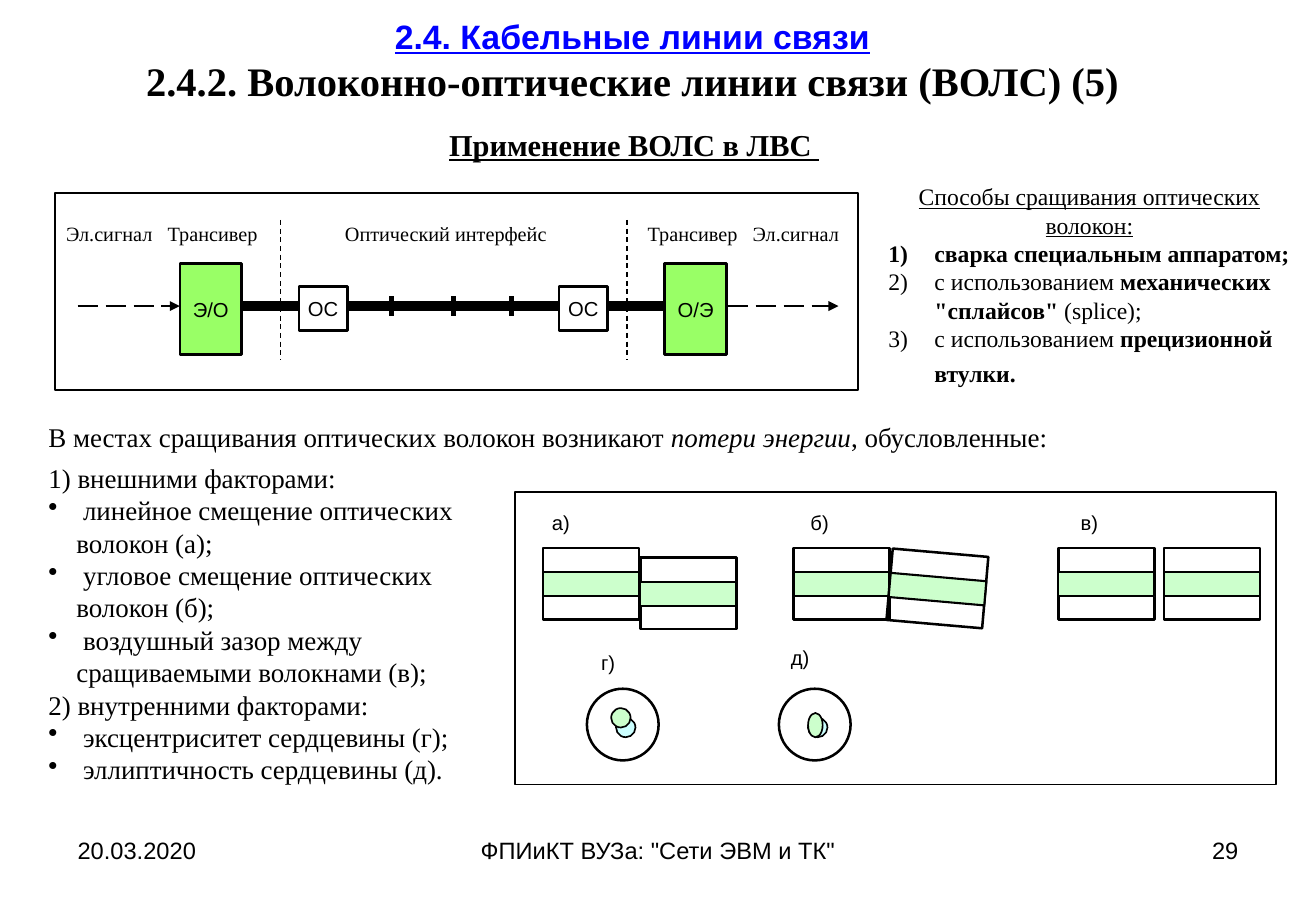
from pptx import Presentation
from pptx.dml.color import RGBColor
from pptx.enum.dml import MSO_LINE
from pptx.enum.shapes import MSO_CONNECTOR, MSO_SHAPE
from pptx.enum.text import MSO_ANCHOR, PP_ALIGN
from pptx.oxml.ns import qn
from pptx.util import Pt
from lxml import etree

PX = 9144
RECT, OVAL = MSO_SHAPE.RECTANGLE, MSO_SHAPE.OVAL
LEFT, CENTER, RIGHT = PP_ALIGN.LEFT, PP_ALIGN.CENTER, PP_ALIGN.RIGHT
TOP, MIDDLE = MSO_ANCHOR.TOP, MSO_ANCHOR.MIDDLE
DASH, LONG_DASH = MSO_LINE.DASH, MSO_LINE.LONG_DASH
SANS, SERIF = "Arial", "Times New Roman"
BLACK, WHITE, BLUE = "000000", "FFFFFF", "0000FF"
GREEN, CORE, SHIFTED_CORE = "99FF66", "CCFFCC", "CCFFFF"


def color(value):
    """Turn a hex string into a colour."""
    return RGBColor.from_string(value)


def px(*lengths):
    """Turn lengths in px into EMU."""
    return [length * PX for length in lengths]


def add_para(frame, content, first=False, size=12, font=SERIF, align=LEFT,
             bullet=None, indent=0, **style):
    """Add a paragraph made of a string or of (text, format) spans."""
    para = frame.paragraphs[0] if first else frame.add_paragraph()
    para.alignment = align
    if bullet:
        properties = para._p.get_or_add_pPr()
        properties.set("marL", str(indent * PX))
        properties.set("indent", str(-indent * PX))
        tag, name = ("buChar", "char") if bullet == "•" else ("buAutoNum", "type")
        etree.SubElement(properties, qn("a:" + tag)).set(name, bullet)
    spans = [(content, {})] if isinstance(content, str) else content
    for text, changes in spans:
        look = {"size": size, "font": font, "color": BLACK, **style, **changes}
        span = para.add_run()
        span.text = text
        span.font.size = Pt(look["size"])
        span.font.name = look["font"]
        span.font.color.rgb = color(look["color"])
        span.font.bold = look.get("bold", False)
        span.font.italic = look.get("italic", False)
        span.font.underline = look.get("underline", False)


def set_frame(frame, anchor=TOP, insets=(10, 5)):
    """Set wrapping, anchor and insets of a text frame."""
    frame.word_wrap = True
    frame.vertical_anchor = anchor
    frame.margin_left = frame.margin_right = insets[0] * PX
    frame.margin_top = frame.margin_bottom = insets[1] * PX


def add_text(page, box, paras, anchor=TOP, insets=(10, 5), **style):
    """Add a text box with (content, format) paragraphs."""
    frame = page.shapes.add_textbox(*px(*box)).text_frame
    set_frame(frame, anchor, insets)
    paras = [(paras, {})] if isinstance(paras, str) else paras
    for index, (content, changes) in enumerate(paras):
        add_para(frame, content, first=index == 0, **{**style, **changes})


def add_block(page, kind, box, fill=None, width=1.5, angle=0, text=None):
    """Add an outlined shape with optional fill and centred text."""
    shape = page.shapes.add_shape(kind, *px(*box))
    shape.shadow.inherit = False
    shape.rotation = angle
    if fill:
        shape.fill.solid()
        shape.fill.fore_color.rgb = color(fill)
    else:
        shape.fill.background()
    shape.line.color.rgb = color(BLACK)
    shape.line.width = Pt(width)
    if text:
        set_frame(shape.text_frame, MIDDLE, (2, 5))
        add_para(shape.text_frame, text, first=True, font=SANS, align=CENTER)


def add_line(page, start, end, width, dash=None, arrow=False):
    """Add a straight black line."""
    line = page.shapes.add_connector(MSO_CONNECTOR.STRAIGHT, *px(*start, *end))
    line.line.color.rgb = color(BLACK)
    line.line.width = Pt(width)
    if dash:
        line.line.dash_style = dash
    properties = line._element.spPr
    if arrow:
        outline = properties.get_or_add_ln()
        etree.SubElement(outline, qn("a:tailEnd")).set("type", "triangle")
    etree.SubElement(properties, qn("a:effectLst"))


def draw_headings(page, box):
    """Draw the title and the subtitle."""
    left, top, width, height = box
    add_text(page, box, [
        ("2.4. Кабельные линии связи",
         {"size": 20, "font": SANS, "color": BLUE, "underline": True}),
        ("2.4.2. Волоконно-оптические линии связи (ВОЛС) (5)", {"size": 24}),
    ], anchor=MIDDLE, align=CENTER, bold=True)
    add_text(page, (left + 286, top + height, 364, 40),
             [([("Применение ВОЛС в ЛВС", {"bold": True}), (" ", {})], {})],
             size=18, align=CENTER, underline=True)


def draw_link(page, box):
    """Draw the fibre link between two transceivers."""
    left, top, width, height = box
    axis = top + 93
    for start, end in ((19, 103), (554, 645)):
        add_line(page, (left + start, axis), (left + end, axis), 1.5, LONG_DASH, True)
    for start, end in ((154, 202), (241, 415), (455, 502)):
        add_line(page, (left + start, axis), (left + end, axis), 6)
    for tick in (277, 328, 376):
        add_line(page, (left + tick, axis - 8), (left + tick, axis + 8), 3)
    for border in (186, 471):
        add_line(page, (left + border, top + 22), (left + border, top + 137), 0.75, DASH)
    for offset, name in ((103, "Э/О"), (502, "О/Э")):
        add_block(page, RECT, (left + offset, top + 58, 51, 75), GREEN, text=name)
    for offset in (201, 415):
        add_block(page, RECT, (left + offset, top + 77, 40, 36), WHITE, text="ОС")
    labels = ((45, "Эл.сигнал"), (130, "Трансивер"), (322, "Оптический интерфейс"),
              (525, "Трансивер"), (610, "Эл.сигнал"))
    for middle, name in labels:
        add_text(page, (left + middle - 90, top + 22, 180, 24), name,
                 insets=(2, 1), align=CENTER)
    add_block(page, RECT, box, width=1)


def draw_splicing(page, box):
    """Draw the numbered list of splicing methods."""
    bold = {"bold": True}
    numbered = {"bullet": "arabicParenR", "indent": 38}
    add_text(page, box, [
        ("Способы сращивания оптических волокон:", {"align": CENTER, "underline": True}),
        ("сварка специальным аппаратом;", {**numbered, **bold}),
        ([("с использованием ", {}), ("механических \"сплайсов\"", bold),
          (" (splice);", {})], numbered),
        ([("с использованием ", {}), ("прецизионной втулки.", bold),
          (" ", {"size": 18, "font": SANS})], numbered),
    ], insets=(2, 1), size=14)


def draw_losses(page, box):
    """Draw the lead sentence and the list of loss factors."""
    left, top, width, height = box
    add_text(page, (left, top, 861, 37), [([
        ("В местах сращивания оптических волокон возникают ", {}),
        ("потери энергии", {"italic": True}), (", обусловленные:", {})], {})], size=16)
    item = {"bullet": "•", "indent": 23}
    add_text(page, (left, top + 34, width, height - 34), [
        ("1) внешними факторами:", {}),
        (" линейное смещение оптических волокон (а);", item),
        (" угловое смещение оптических волокон (б);", item),
        (" воздушный зазор между сращиваемыми волокнами (в);", item),
        ("2) внутренними факторами:", {}),
        (" эксцентриситет сердцевины (г);", item),
        (" эллиптичность сердцевины (д).", item),
    ], size=16)


def draw_fibre(page, left, top, angle=0):
    """Draw a fibre from the side, with its core."""
    add_block(page, RECT, (left, top, 79, 59), angle=angle)
    add_block(page, RECT, (left, top + 20, 79, 20), CORE, 1.25, angle)


def draw_section(page, left, top, shifted, core):
    """Draw a fibre in section, with two cores that do not match."""
    add_block(page, OVAL, (left, top, 59, 59), WHITE)
    for (across, down, width, height), fill in ((shifted, SHIFTED_CORE), (core, CORE)):
        add_block(page, OVAL, (left + across, top + down, width, height), fill, 1)


def draw_defects(page, box):
    """Draw the five kinds of fibre mismatch."""
    left, top, width, height = box
    fibres = ((23, 46, 0), (103, 54, 0), (229, 46, 0), (308, 50, 5),
              (447, 46, 0), (534, 46, 0))
    for across, down, angle in fibres:
        draw_fibre(page, left + across, top + down, angle)
    draw_section(page, left + 59, top + 162, (24, 24, 16, 16), (20, 16, 16, 16))
    draw_section(page, left + 217, top + 162, (24, 24, 16, 16), (24, 20, 12, 20))
    labels = ((20, 15, "а)"), (233, 15, "б)"), (455, 15, "в)"),
              (59, 130, "г)"), (217, 126, "д)"))
    for across, down, name in labels:
        add_text(page, (left + across, top + down, 35, 20), name,
                 insets=(0, 0), font=SANS, align=CENTER)
    add_block(page, RECT, box, width=1)


def draw_footer(page, box):
    """Draw the date, the course and the page number."""
    left, top, width, height = box
    parts = ((0, 253, LEFT, "20.03.2020"),
             (316, 343, CENTER, "ФПИиКТ ВУЗа: \"Сети ЭВМ и ТК\""),
             (width - 253, 253, RIGHT, "29"))
    for offset, span_width, align, text in parts:
        add_text(page, (left + offset, top, span_width, height), text,
                 size=14, font=SANS, align=align)


def main():
    """Build the slide and save it."""
    deck = Presentation()
    deck.slide_width, deck.slide_height = px(1083, 750)
    page = deck.slides.add_slide(deck.slide_layouts[6])
    draw_headings(page, (54, 0, 933, 99))
    draw_link(page, (45, 159, 661, 162))
    draw_splicing(page, (729, 149, 335, 172))
    draw_losses(page, (30, 341, 369, 311))
    draw_defects(page, (424, 405, 626, 241))
    draw_footer(page, (54, 683, 975, 52))
    deck.save("out.pptx")


if __name__ == "__main__":
    main()
